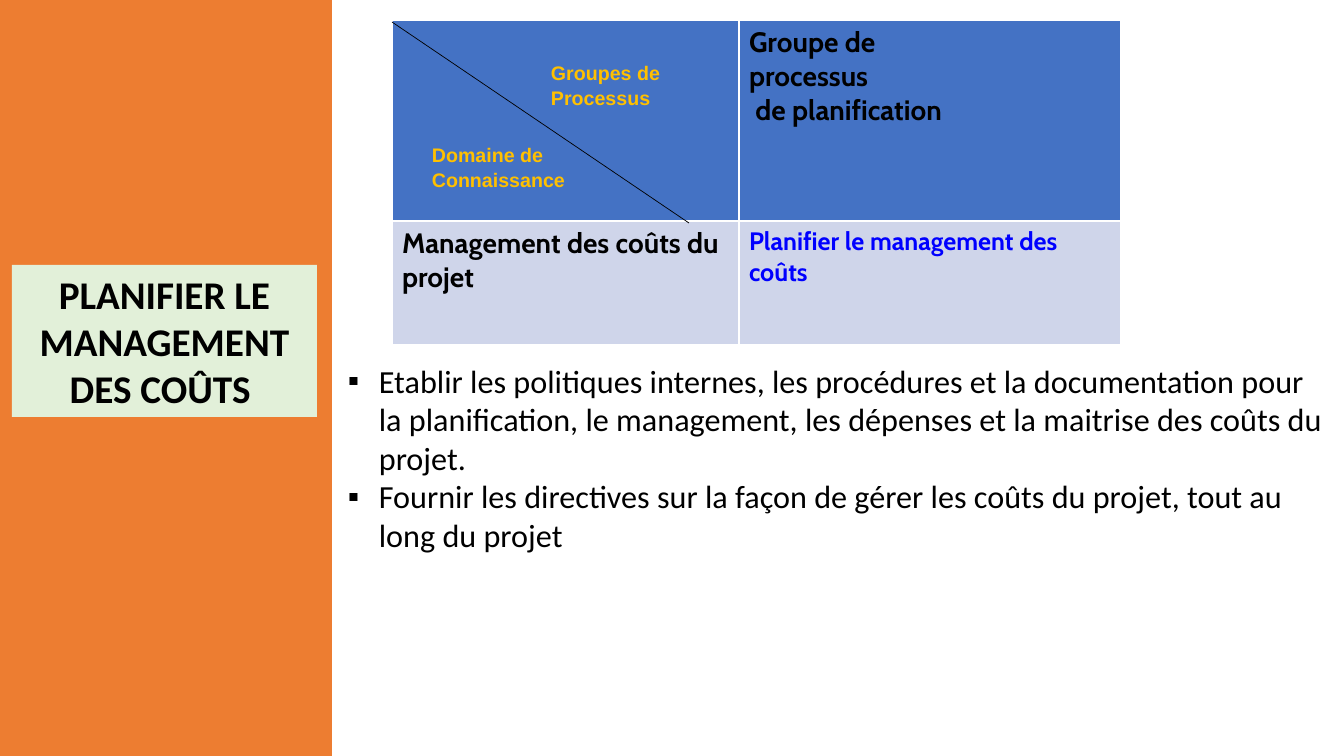
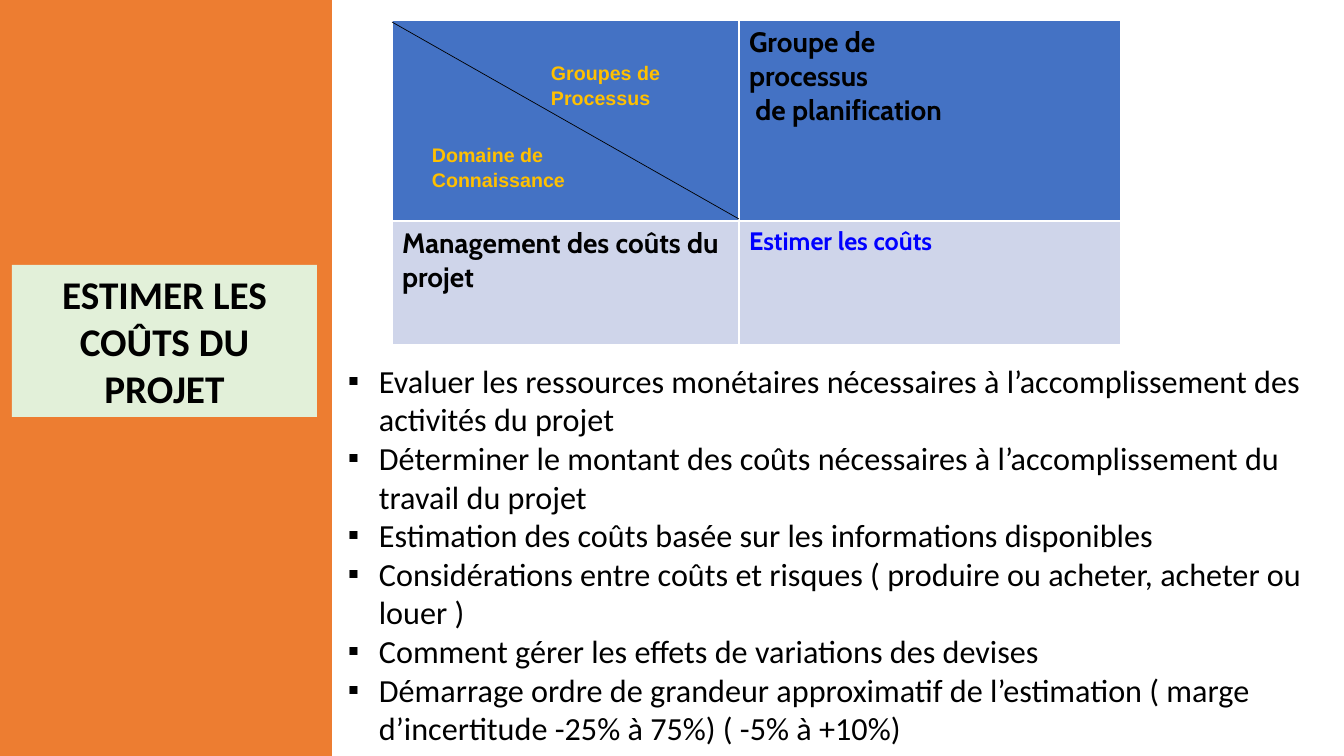
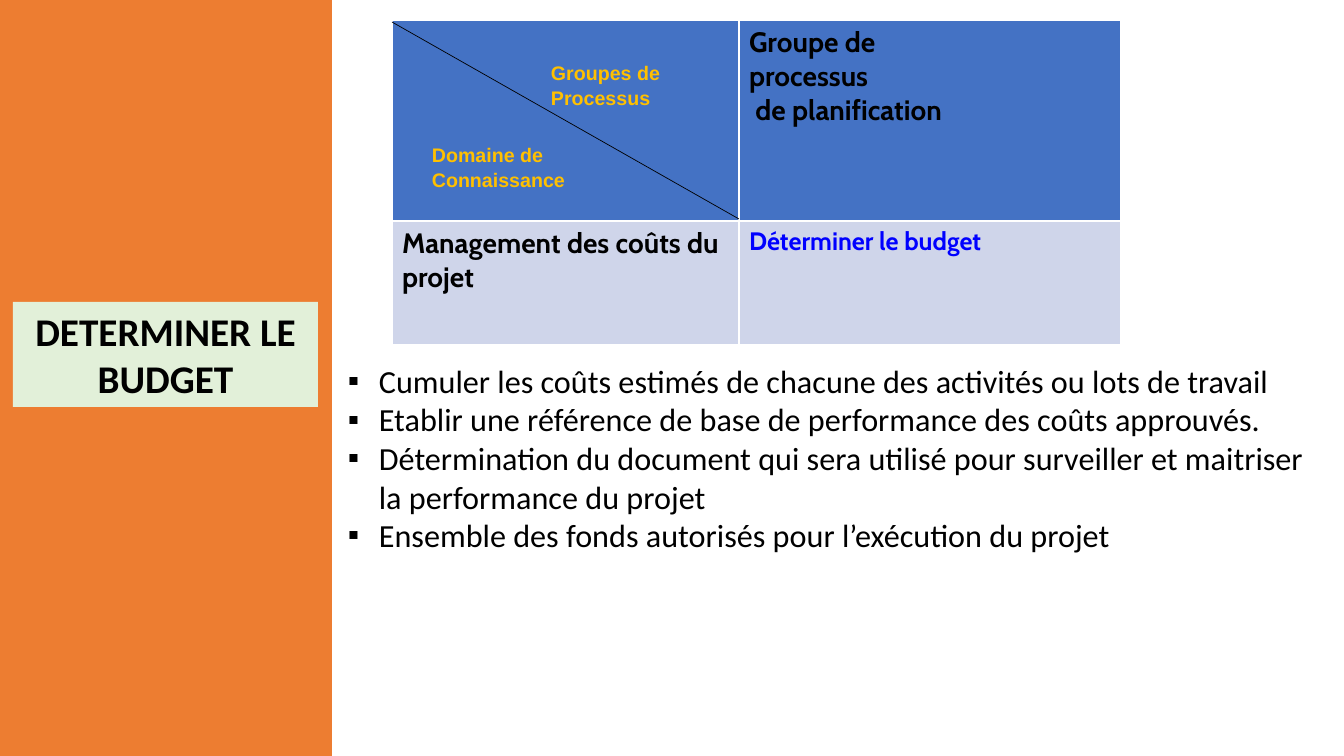
from dataclasses import dataclass

from lxml import etree
from pptx import Presentation
from pptx import util as u
from pptx.dml.color import RGBColor
from pptx.enum import shapes, text
from pptx.oxml.ns import qn


@dataclass(frozen=True)
class Theme:
    band: str = "ED7D31"
    title_fill: str = "E2F0D9"
    header_fill: str = "4472C4"
    row_fill: str = "CFD5EA"
    ink: str = "000000"
    process: str = "0000FF"
    axis: str = "FFC000"
    title_size: int = 28
    body_size: int = 23
    table_size: int = 20
    process_size: int = 18
    axis_size: int = 14
    body_font: str = "Calibri"
    table_font: str = "Cabin"
    axis_font: str = "Arial"


theme = Theme()
SLIDE_WIDTH, SLIDE_HEIGHT = 1344, 756
PX = 12192000 / SLIDE_WIDTH


def px(*lengths):
    return [u.Emu(round(length * PX)) for length in lengths]


def style(text_frame, font, size, color, bold=False):
    for paragraph in text_frame.paragraphs:
        for run in paragraph.runs:
            run.font.name = font
            run.font.size = u.Pt(size)
            run.font.bold = bold
            run.font.color.rgb = RGBColor.from_string(color)


# Content: title and its box, process, end of the diagonal, body height, bullets
pages = [
    ("PLANIFIER LE MANAGEMENT DES COÛTS ", (12, 265, 305, 152),
     "Planifier le management des coûts", (689, 223), 244, [
         "Etablir les politiques internes, les procédures et la documentation pour "
         "la planification, le management, les dépenses et la maitrise des coûts du projet.",
         "Fournir les directives sur la façon de gérer les coûts du projet, "
         "tout au long du projet",
     ]),
    ("ESTIMER LES COÛTS DU PROJET", (12, 265, 305, 152),
     "Estimer les coûts", (739, 219), 400, [
         "Evaluer les ressources monétaires nécessaires à l’accomplissement des "
         "activités du projet",
         "Déterminer le montant des coûts nécessaires à l’accomplissement du "
         "travail du projet",
         "Estimation des coûts basée sur les informations disponibles",
         "Considérations entre coûts et risques ( produire ou acheter, acheter ou louer )",
         "Comment gérer les effets de variations des devises",
         "Démarrage ordre de grandeur approximatif de l’estimation ( marge "
         "d’incertitude -25% à 75%) ( -5% à +10%)",
     ]),
    ("DETERMINER LE BUDGET", (13, 302, 305, 105),
     "Déterminer le budget", (739, 219), 323, [
         "Cumuler les coûts estimés de chacune des activités ou lots de travail",
         "Etablir une référence de base de performance des coûts approuvés.",
         "Détermination du document qui sera utilisé pour surveiller et maitriser "
         "la performance du projet",
         "Ensemble des fonds autorisés pour l’exécution du projet",
     ]),
]
axis_labels = [
    ("Groupes de\nProcessus", (452, 55, 238, 82)),
    ("Domaine de\nConnaissance", (333, 137, 262, 82)),
]

presentation = Presentation()
presentation.slide_width, presentation.slide_height = px(SLIDE_WIDTH, SLIDE_HEIGHT)

for title, title_box, process, diagonal_end, body_height, bullets in pages:
    slide = presentation.slides.add_slide(presentation.slide_layouts[6])

    # Side band and title
    for box, fill, words in [((0, 0, 332, SLIDE_HEIGHT), theme.band, ""),
                             (title_box, theme.title_fill, title)]:
        shape = slide.shapes.add_shape(shapes.MSO_SHAPE.RECTANGLE, *px(*box))
        shape.shadow.inherit = False
        shape.fill.solid()
        shape.fill.fore_color.rgb = RGBColor.from_string(fill)
        shape.line.fill.background()
        if words:
            shape.text_frame.text = words
            shape.text_frame.word_wrap = True
            shape.text_frame.paragraphs[0].alignment = text.PP_ALIGN.CENTER
            style(shape.text_frame, theme.body_font, theme.title_size, theme.ink, True)

    # Process table, with the white rules of the default table style
    table = slide.shapes.add_table(2, 2, *px(392, 20, 729, 325)).table
    table.columns[0].width, table.columns[1].width = px(347, 382)
    table.rows[0].height, table.rows[1].height = px(201, 124)
    rows = [["", "Groupe de\vprocessus\v de planification"],
            ["Management des coûts du projet", process]]
    for row_index, row in enumerate(rows):
        for column_index, words in enumerate(row):
            cell = table.cell(row_index, column_index)
            cell.fill.solid()
            cell.fill.fore_color.rgb = RGBColor.from_string(
                theme.row_fill if row_index else theme.header_fill)
            cell.text_frame.text = words
            is_process = row_index and column_index
            style(cell.text_frame, theme.table_font,
                  theme.process_size if is_process else theme.table_size,
                  theme.process if is_process else theme.ink, True)

    # Diagonal of the corner cell
    diagonal = slide.shapes.add_connector(
        shapes.MSO_CONNECTOR.STRAIGHT, *px(392, 22, *diagonal_end))
    diagonal.line.color.rgb = RGBColor.from_string(theme.ink)
    diagonal.line.width = u.Pt(0.5)
    etree.SubElement(diagonal._element.spPr, qn("a:effectLst"))

    # Axis labels on both sides of the diagonal
    for words, box in axis_labels:
        label = slide.shapes.add_textbox(*px(*box)).text_frame
        label.word_wrap = True
        label.text = words
        for paragraph in label.paragraphs:
            paragraph.line_spacing = 1.05
            paragraph._p.get_or_add_pPr().set("marL", str(px(89)[0]))
        style(label, theme.axis_font, theme.axis_size, theme.axis, True)

    # Bullets
    body = slide.shapes.add_textbox(*px(338, 356, 1006, body_height)).text_frame
    body.word_wrap = True
    body.text = "\n".join(bullets)
    for paragraph in body.paragraphs:
        properties = paragraph._p.get_or_add_pPr()
        indent = px(31)[0]
        properties.set("marL", str(indent))
        properties.set("indent", str(-indent))
        etree.SubElement(properties, qn("a:buFont"), typeface="Arial")
        etree.SubElement(properties, qn("a:buChar"), char="▪")
    style(body, theme.body_font, theme.body_size, theme.ink)

presentation.save("out.pptx")
